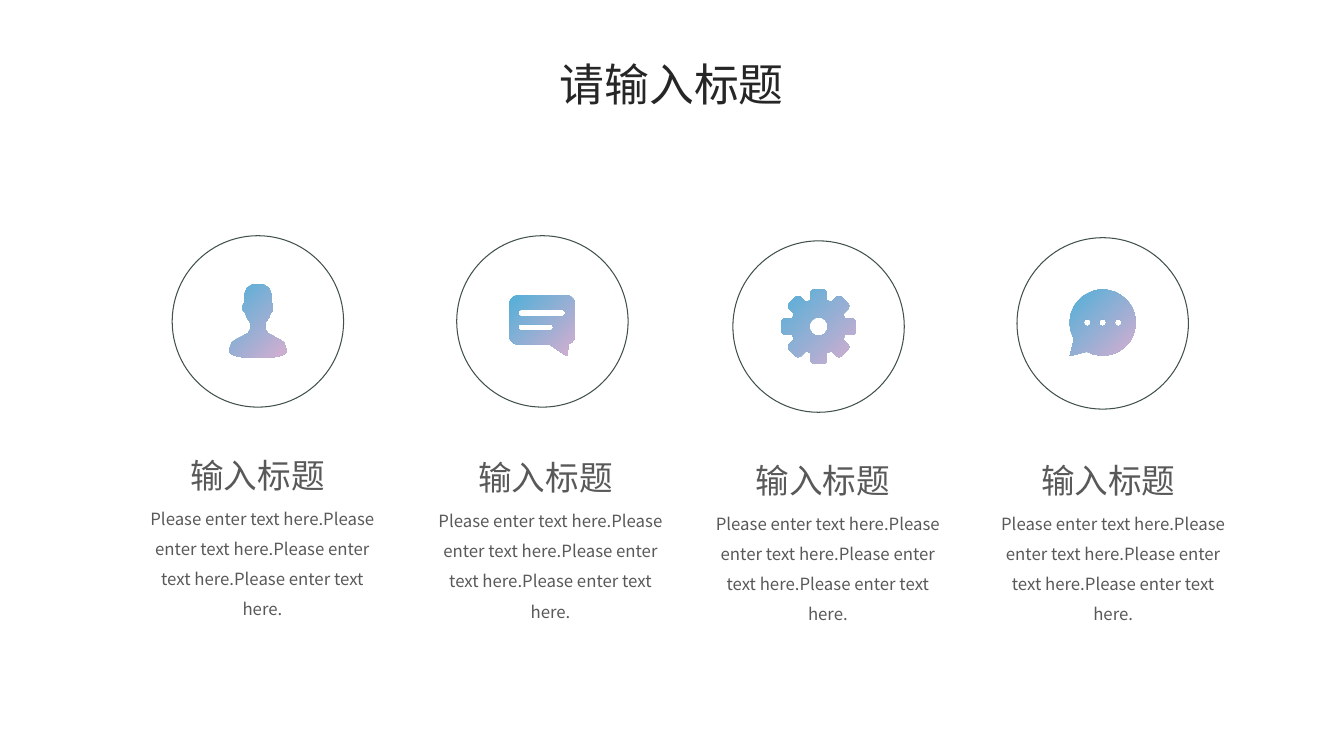
from math import cos, radians, sin

from lxml.etree import SubElement
from pptx import Presentation
from pptx.dml.color import RGBColor
from pptx.enum.shapes import MSO_SHAPE
from pptx.enum.text import MSO_ANCHOR, MSO_AUTO_SIZE, PP_ALIGN
from pptx.oxml.ns import qn
from pptx.util import Cm, Pt

FONT = "Noto Sans CJK SC"
COLORS = {
    "title": "262626",
    "text": "595959",
    "ring": "40504B",
    "icon_start": "52AFD8",
    "icon_end": "D6AED0",
}
FRAME_FORMAT = {"word_wrap": True, "auto_size": MSO_AUTO_SIZE.SHAPE_TO_FIT_TEXT}
TITLE_FRAME_FORMAT = {
    "word_wrap": True,
    "auto_size": MSO_AUTO_SIZE.NONE,
    "vertical_anchor": MSO_ANCHOR.MIDDLE,
}
TITLE_FORMAT = {"alignment": PP_ALIGN.CENTER}
COLUMN_FORMAT = {"alignment": PP_ALIGN.CENTER, "line_spacing": 1.5}

RING_SIZE = 4.32
HEADING = "输入标题"
BODY = " ".join(["Please enter text", "here.Please enter text",
                 "here.Please enter text", "here.Please enter text", "here."])


def color(name):
    return RGBColor.from_string(COLORS[name])


def apply_format(target, values):
    for name, value in values.items():
        setattr(target, name, value)


def write_text(shape, text, size, color_name, frame_format, paragraph_format):
    frame = shape.text_frame
    apply_format(frame, frame_format)
    paragraph = frame.paragraphs[0]
    apply_format(paragraph, paragraph_format)
    run = paragraph.add_run()
    run.text = text
    apply_format(run.font, {"size": Pt(size), "name": FONT})
    run.font.color.rgb = color(color_name)
    east_asian = SubElement(run.font._element, qn("a:ea"))
    east_asian.set("typeface", FONT)


# Icon outlines are in hundredths of a centimetre around the ring's centre.
def arc(x, y, radius, start, end, steps=12):
    angles = [radians(start + (end - start) * i / steps) for i in range(steps + 1)]
    return [(x + radius * cos(a), y + radius * sin(a)) for a in angles]


def dot(x, y, radius):
    return arc(x, y, radius, 0, 360, 36)


def pill(left, right, y, radius):
    return (arc(left + radius, y, radius, 90, 270)
            + arc(right - radius, y, radius, -90, 90))


def person_outline():
    right = [(0, -94), (16, -92), (28, -84), (34, -69), (34, -48), (38, -41),
             (38, -28), (32, -22), (28, -10), (20, 2), (18, 6), (18, 18),
             (25, 30), (56, 46), (66, 54), (71, 68), (71, 79), (60, 86),
             (40, 90), (0, 92)]
    return [right + [(-x, y) for x, y in reversed(right)]]


def message_outline():
    left, top, right, bottom, radius = -84, -66, 82, 58, 23
    bubble = (arc(left + radius, top + radius, radius, 180, 270)
              + arc(right - radius, top + radius, radius, 270, 360)
              + arc(right - radius, bottom - radius, radius, 0, 75)
              + [(64, 86), (59, 86), (18, bottom)]
              + arc(left + radius, bottom - radius, radius, 90, 180))
    return [bubble, pill(-61, 58, -21, 8), pill(-61, 27, 15, 8)]


def gear_outline():
    half = [(66, -21), (85, -21), (91, -18), (94, -12)]
    tooth = half + [(x, -y) for x, y in reversed(half)]
    rim = []
    for number in range(8):
        angle = radians(45 * number)
        rim += [(x * cos(angle) - y * sin(angle), x * sin(angle) + y * cos(angle))
                for x, y in tooth]
    return [rim, dot(0, 0, 23)]


def chat_outline():
    bubble = arc(0, -2, 83, 150, 479, 60) + [(-83, 82)]
    return [bubble] + [dot(x, -2, 9) for x in (-39, 0, 39)]


def add_icon(slide, contours, center_x, center_y):
    builder = None
    for start, *rest in contours:
        if builder is None:
            builder = slide.shapes.build_freeform(*start, scale=Cm(0.01))
        else:
            builder.move_to(*start)
        builder.add_line_segments(rest, close=True)
    icon = builder.convert_to_shape(Cm(center_x), Cm(center_y))
    icon.shadow.inherit = False
    icon.line.fill.background()
    icon.fill.gradient()
    icon.fill.gradient_angle = 315
    for stop, name in zip(icon.fill.gradient_stops, ("icon_start", "icon_end")):
        stop.color.rgb = color(name)


def add_ring(slide, left, top, contours):
    ring = slide.shapes.add_shape(MSO_SHAPE.OVAL, Cm(left), Cm(top),
                                  Cm(RING_SIZE), Cm(RING_SIZE))
    ring.shadow.inherit = False
    ring.fill.background()
    ring.line.color.rgb = color("ring")
    ring.line.width = Pt(0.75)
    add_icon(slide, contours, left + RING_SIZE / 2, top + RING_SIZE / 2)


def add_caption(slide, left, top):
    heading = slide.shapes.add_textbox(Cm(left), Cm(top), Cm(6.88), Cm(1.63))
    write_text(heading, HEADING, 24, "text", FRAME_FORMAT, COLUMN_FORMAT)
    body = slide.shapes.add_textbox(Cm(left + 0.25), Cm(top + 1.61), Cm(6.63), Cm(2.57))
    write_text(body, BODY, 12, "text", FRAME_FORMAT, COLUMN_FORMAT)


def add_title(slide, left, top, width, height):
    title = slide.shapes.title
    apply_format(title, {"left": Cm(left), "top": Cm(top),
                         "width": Cm(width), "height": Cm(height)})
    write_text(title, "请输入标题", 32, "title", TITLE_FRAME_FORMAT, TITLE_FORMAT)


def main():
    presentation = Presentation()
    presentation.slide_width = Cm(33.87)
    presentation.slide_height = Cm(19.05)
    slide = presentation.slides.add_slide(presentation.slide_layouts[5])
    add_title(slide, 10.67, 1.3, 12.52, 1.63)
    columns = [
        (person_outline(), (4.34, 5.94), (3.05, 10.82)),
        (message_outline(), (11.51, 5.94), (10.31, 10.88)),
        (gear_outline(), (18.47, 6.07), (17.3, 10.95)),
        (chat_outline(), (25.63, 5.99), (24.49, 10.95)),
    ]
    for contours, ring_corner, caption_corner in columns:
        add_ring(slide, *ring_corner, contours)
        add_caption(slide, *caption_corner)
    presentation.save("out.pptx")


if __name__ == "__main__":
    main()
